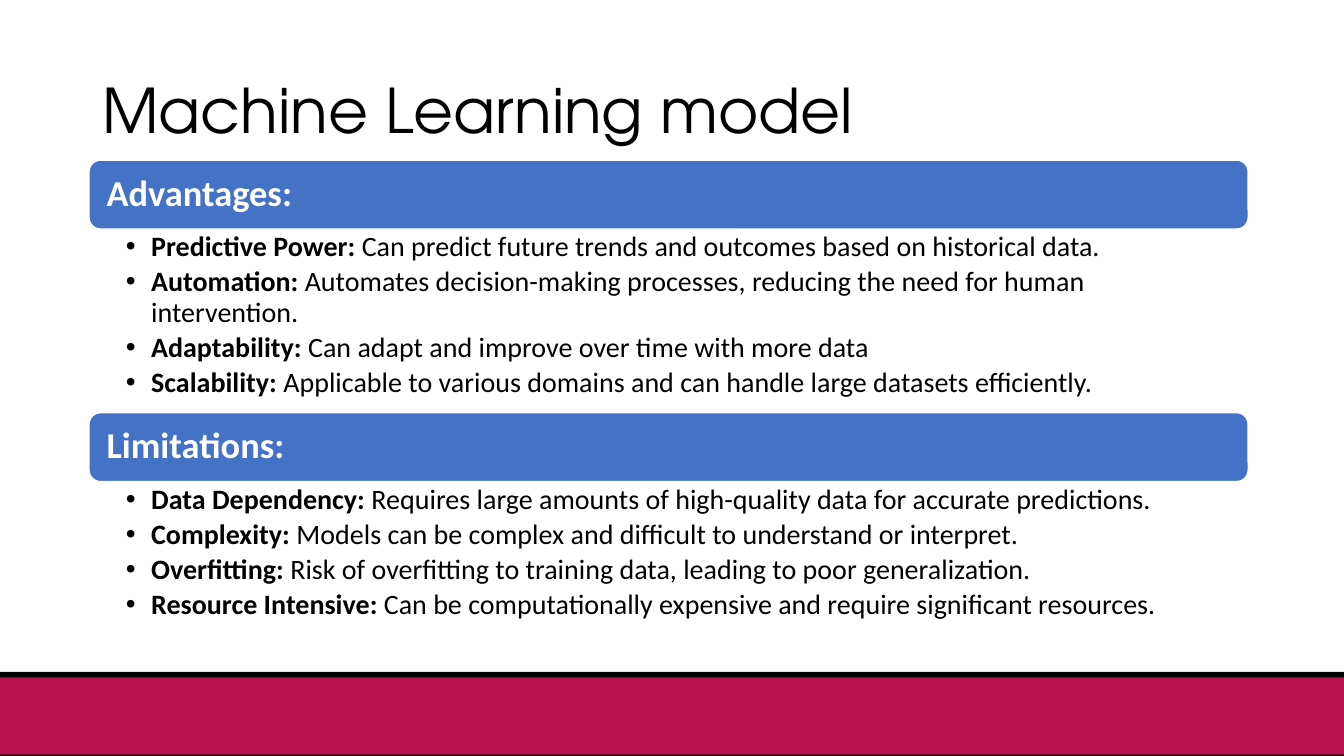
from pptx import Presentation
from pptx.dml.color import RGBColor
from pptx.enum.shapes import MSO_SHAPE as SHAPE
from pptx.enum.text import MSO_ANCHOR as ANCHOR, PP_ALIGN as ALIGN
from pptx.oxml.ns import qn
from pptx.util import Pt
from lxml.etree import SubElement

BLACK, WHITE, BLUE, CRIMSON = "000000", "FFFFFF", "4472C4", "B6114D"
WIDTH, HEIGHT = 960, 540
HEADER_HEIGHT = 49.2

ADVANTAGES = [
    ("Predictive Power:", " Can predict future trends and outcomes based on historical data."),
    ("Automation:", " Automates decision-making processes, reducing the need for human intervention."),
    ("Adaptability:", " Can adapt and improve over time with more data"),
    ("Scalability:", " Applicable to various domains and can handle large datasets efficiently."),
]
LIMITATIONS = [
    ("Data Dependency:", " Requires large amounts of high-quality data for accurate predictions."),
    ("Complexity:", " Models can be complex and difficult to understand or interpret."),
    ("Overfitting:", " Risk of overfitting to training data, leading to poor generalization."),
    ("Resource Intensive:", " Can be computationally expensive and require significant resources."),
]


def color(hex_code):
    return RGBColor.from_string(hex_code)


def style(font, name, size, hex_code, bold=False):
    font.name, font.size, font.bold = name, Pt(size), bold
    font.color.rgb = color(hex_code)


def set_frame(frame, anchor, left, top, right, bottom):
    frame.word_wrap = True
    frame.vertical_anchor = anchor
    frame.margin_left, frame.margin_top = Pt(left), Pt(top)
    frame.margin_right, frame.margin_bottom = Pt(right), Pt(bottom)


def add_block(slide, kind, left, top, width, height, fill, line=None):
    block = slide.shapes.add_shape(kind, Pt(left), Pt(top), Pt(width), Pt(height))
    block.shadow.inherit = False
    block.fill.solid()
    block.fill.fore_color.rgb = color(fill)
    if line:
        block.line.color.rgb = color(line)
        block.line.width = Pt(1)
    else:
        block.line.fill.background()
    return block


def add_footer(slide, top, height):
    # Crimson band with thin black edges
    add_block(slide, SHAPE.RECTANGLE, 0, top, WIDTH, height, BLACK)
    add_block(slide, SHAPE.RECTANGLE, 0, top + 3.8, WIDTH, height - 4.8, CRIMSON)


def add_title(slide, text, left, top, width, height):
    title = slide.shapes.add_textbox(Pt(left), Pt(top), Pt(width), Pt(height))
    set_frame(title.text_frame, ANCHOR.MIDDLE, 7.2, 3.6, 7.2, 3.6)
    title.text_frame.text = text
    paragraph = title.text_frame.paragraphs[0]
    paragraph.line_spacing = 0.9
    style(paragraph.runs[0].font, "TeX Gyre Adventor", 44, BLACK)


def add_section(slide, heading, points, left, top, width, height):
    # Heading bar
    header = add_block(slide, SHAPE.ROUNDED_RECTANGLE, left, top, width,
                       HEADER_HEIGHT, BLUE, WHITE)
    set_frame(header.text_frame, ANCHOR.MIDDLE, 10.2, 7.8, 10.2, 7.8)
    header.text_frame.text = heading
    paragraph = header.text_frame.paragraphs[0]
    paragraph.alignment = ALIGN.LEFT
    paragraph.line_spacing = 0.9
    style(paragraph.runs[0].font, "Calibri", 26, WHITE, True)

    # Bulleted points below the bar
    body = slide.shapes.add_textbox(Pt(left), Pt(top + HEADER_HEIGHT), Pt(width),
                                    Pt(height - HEADER_HEIGHT))
    frame = body.text_frame
    set_frame(frame, ANCHOR.TOP, 26.4, 2.6, 14.4, 2.6)
    frame.text = "\n".join(term for term, _ in points)
    for paragraph, (_, detail) in zip(frame.paragraphs, points):
        paragraph.level = 1
        paragraph.line_spacing = 0.9
        paragraph.space_after = Pt(3.5)
        properties = paragraph._p.get_or_add_pPr()
        properties.set("marL", str(Pt(18)))
        properties.set("indent", str(Pt(-18)))
        SubElement(properties, qn("a:buFont")).set("typeface", "Arial")
        SubElement(properties, qn("a:buChar")).set("char", "•")
        style(paragraph.runs[0].font, "Calibri", 20, BLACK, True)
        detail_run = paragraph.add_run()
        detail_run.text = detail
        style(detail_run.font, "Calibri", 20, BLACK)


def main():
    deck = Presentation()
    deck.slide_width, deck.slide_height = Pt(WIDTH), Pt(HEIGHT)
    slide = deck.slides.add_slide(deck.slide_layouts[6])
    add_footer(slide, 480, 60)
    add_title(slide, "Machine Learning model", 66, 28.75, 828, 104.4)
    add_section(slide, "Advantages:", ADVANTAGES, 63.6, 114.4, 828, 180.4)
    add_section(slide, "Limitations:", LIMITATIONS, 63.6, 294.8, 828, 157.2)
    deck.save("out.pptx")


if __name__ == "__main__":
    main()
